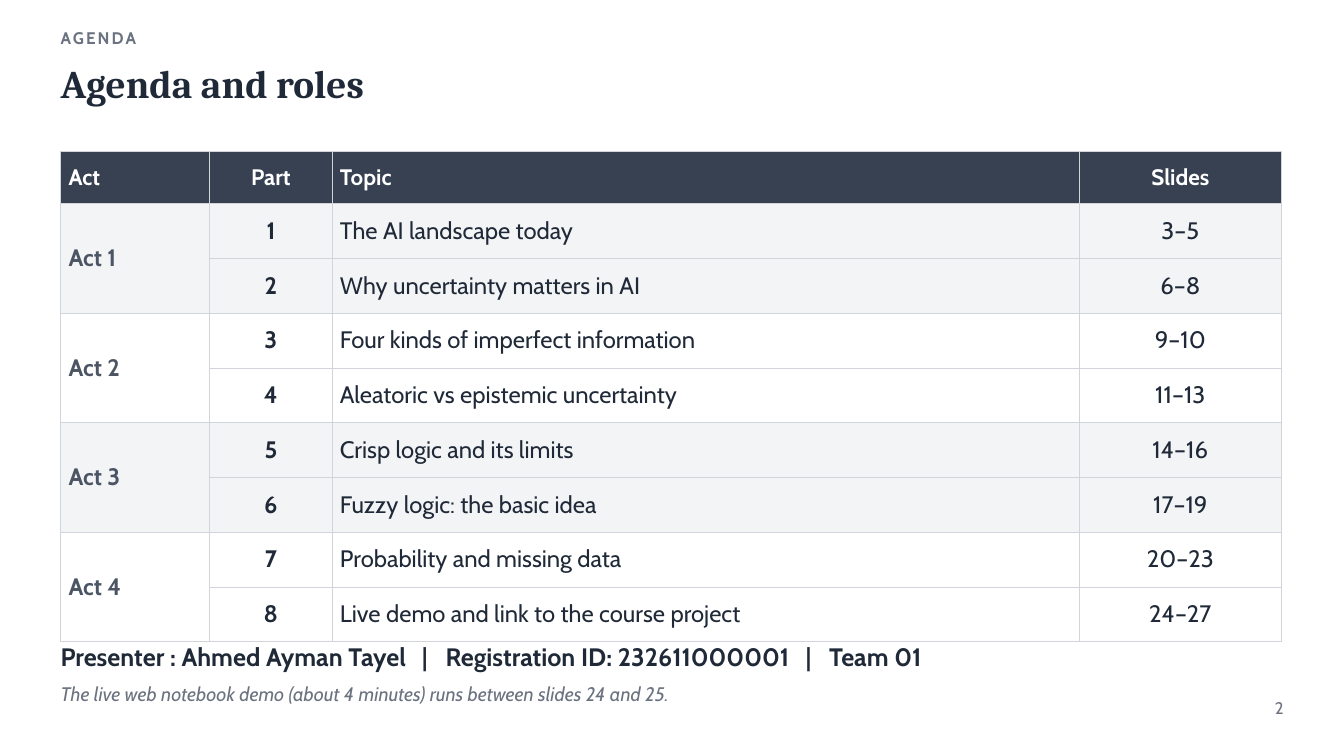
from lxml import etree
from pptx import Presentation
from pptx import util as u
from pptx.dml.color import RGBColor
from pptx.enum import text
from pptx.oxml.ns import qn

INK = RGBColor(0x1F, 0x29, 0x37)
HEADER = RGBColor(0x37, 0x41, 0x51)
SLATE = RGBColor(0x4B, 0x55, 0x63)
MUTED = RGBColor(0x6B, 0x72, 0x80)
RULE = RGBColor(0xD1, 0xD5, 0xDB)
BAND = RGBColor(0xF3, 0xF4, 0xF6)
WHITE = RGBColor(0xFF, 0xFF, 0xFF)

LEFT, CENTER, RIGHT = text.PP_ALIGN.LEFT, text.PP_ALIGN.CENTER, text.PP_ALIGN.RIGHT


def write(frame, words, size=25.5, color=INK, font="Cabin", bold=False,
          italic=False, align=LEFT, tracking=None, tabs=()):
    line = frame.paragraphs[0]
    line.alignment = align
    line.line_spacing = u.Pt(size * 1.2)
    if tabs:
        stops = etree.SubElement(line._p.get_or_add_pPr(), qn("a:tabLst"))
        for stop in tabs:
            etree.SubElement(stops, qn("a:tab"), pos=str(u.Cm(stop)), algn="l")
    run = line.add_run()
    run.text = words
    run.font.name = font
    run.font.size = u.Pt(size)
    run.font.bold = bold
    run.font.italic = italic
    run.font.color.rgb = color
    if tracking:
        run._r.get_or_add_rPr().set("spc", str(tracking))


deck = Presentation()
deck.slide_width, deck.slide_height = u.Cm(50.8), u.Cm(28.58)
slide = deck.slides.add_slide(deck.slide_layouts[5])

margin = 2.29
full_width = 46.23

title = slide.shapes.title
title.left, title.top = u.Cm(margin), u.Cm(2.26)
title.width, title.height = u.Cm(full_width), u.Cm(3.84)
heading = title.text_frame
heading.margin_left = heading.margin_right = heading.margin_top = heading.margin_bottom = 0
heading.vertical_anchor = text.MSO_ANCHOR.TOP
heading.auto_size = text.MSO_AUTO_SIZE.NONE
write(heading, "Agenda and roles", size=42, font="Cambria", bold=True)

captions = [
    (margin, 1.04, 32.77, 1.17, "AGENDA",
     dict(size=18, color=MUTED, bold=True, tracking=220)),
    (46.23, 26.37, 2.29, 1.24, "2", dict(size=18, color=MUTED, align=RIGHT)),
    (margin, 24.23, full_width, 1.3,
     "Presenter : Ahmed Ayman Tayel\t|\tRegistration ID: 232611000001\t|\tTeam 01",
     dict(size=27, bold=True, tabs=(13.66, 14.55, 28.16, 29.05))),
    (margin, 25.78, full_width, 1.27,
     "The live web notebook demo (about 4 minutes) runs between slides 24 and 25.",
     dict(size=21, color=MUTED, italic=True)),
]
for left, top, width, height, words, style in captions:
    caption = slide.shapes.add_textbox(u.Cm(left), u.Cm(top), u.Cm(width), u.Cm(height))
    frame = caption.text_frame
    frame.margin_left = frame.margin_right = frame.margin_top = frame.margin_bottom = 0
    frame.word_wrap = True
    write(frame, words, **style)

headers = ["Act", "Part", "Topic", "Slides"]
topics = [
    ("The AI landscape today", "3–5"),
    ("Why uncertainty matters in AI", "6–8"),
    ("Four kinds of imperfect information", "9–10"),
    ("Aleatoric vs epistemic uncertainty", "11–13"),
    ("Crisp logic and its limits", "14–16"),
    ("Fuzzy logic: the basic idea", "17–19"),
    ("Probability and missing data", "20–23"),
    ("Live demo and link to the course project", "24–27"),
]
column_widths = [5.64, 4.62, 28.24, 7.65]
row_heights = [1.98] + [2.07] * len(topics)
aligns = [LEFT, CENTER, LEFT, CENTER]

agenda = slide.shapes.add_table(
    len(row_heights), len(headers), u.Cm(margin), u.Cm(5.72),
    u.Cm(sum(column_widths)), u.Cm(sum(row_heights))).table
agenda.first_row = agenda.horz_banding = False
for column, width in zip(agenda.columns, column_widths):
    column.width = u.Cm(width)
for row, height in zip(agenda.rows, row_heights):
    row.height = u.Cm(height)

for r in range(len(row_heights)):
    for c in range(len(headers)):
        cell = agenda.cell(r, c)
        cell.vertical_anchor = text.MSO_ANCHOR.MIDDLE
        cell.margin_left = cell.margin_right = u.Cm(0.3)
        cell.margin_top = cell.margin_bottom = u.Cm(0.3)
        for side in ("a:lnL", "a:lnR", "a:lnT", "a:lnB"):
            border = etree.SubElement(cell._tc.get_or_add_tcPr(), qn(side),
                                      w=str(u.Pt(0.75)))
            paint = etree.SubElement(border, qn("a:solidFill"))
            etree.SubElement(paint, qn("a:srgbClr"), val=str(RULE))
        cell.fill.solid()
        act = (r + 1) // 2
        cell.fill.fore_color.rgb = HEADER if r == 0 else BAND if act % 2 else WHITE

for c, (label, align) in enumerate(zip(headers, aligns)):
    write(agenda.cell(0, c).text_frame, label, size=24, color=WHITE, bold=True, align=align)

for part, (topic, pages) in enumerate(topics, start=1):
    if part % 2:
        act_cell = agenda.cell(part, 0)
        act_cell.merge(agenda.cell(part + 1, 0))
        write(act_cell.text_frame, f"Act {(part + 1) // 2}", color=SLATE, bold=True)
    write(agenda.cell(part, 1).text_frame, str(part), bold=True, align=aligns[1])
    write(agenda.cell(part, 2).text_frame, topic, align=aligns[2])
    write(agenda.cell(part, 3).text_frame, pages, align=aligns[3])

deck.save("out.pptx")
